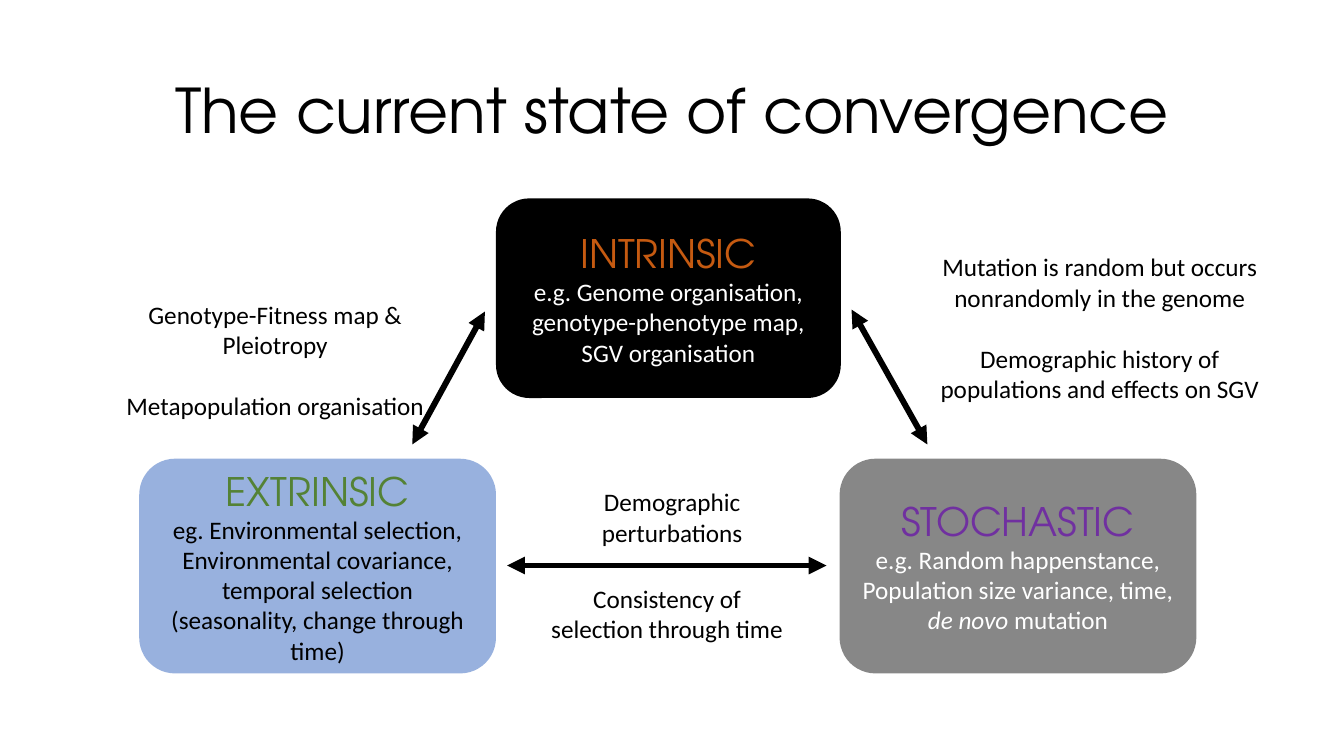
"""Build the slide on the three interacting sources of convergence."""
from dataclasses import dataclass

from lxml import etree
from pptx import Presentation
from pptx.dml.color import RGBColor
from pptx.enum.shapes import MSO_CONNECTOR, MSO_SHAPE
from pptx.enum.text import MSO_ANCHOR, MSO_AUTO_SIZE, PP_ALIGN
from pptx.oxml.ns import qn
from pptx.util import Cm, Pt

CENTER = PP_ALIGN.CENTER
MIDDLE = MSO_ANCHOR.MIDDLE
NO_AUTOFIT = MSO_AUTO_SIZE.NONE
ROUNDED = MSO_SHAPE.ROUNDED_RECTANGLE
STRAIGHT = MSO_CONNECTOR.STRAIGHT
TITLE_ONLY = 5


@dataclass(frozen=True)
class Theme:
    heading_font: str = "TeX Gyre Adventor"
    body_font: str = "Calibri"
    title_size: float = 44
    heading_size: float = 28
    body_size: float = 18
    note_gap: float = 22
    arrow_width: float = 4.25
    black: str = "000000"
    white: str = "FFFFFF"
    blue: str = "4472C4"
    green: str = "548235"
    orange: str = "C55A11"
    purple: str = "7030A0"


THEME = Theme()


@dataclass(frozen=True)
class Area:
    left: float
    top: float
    width: float
    height: float

    def emu(self) -> tuple:
        return Cm(self.left), Cm(self.top), Cm(self.width), Cm(self.height)


@dataclass(frozen=True)
class Phrase:
    text: str
    italic: bool = False


@dataclass(frozen=True)
class Factor:
    heading: str
    heading_color: str
    examples: tuple[tuple[Phrase, ...], ...]
    text_color: str
    area: Area
    fill: str
    opacity: int = 100


@dataclass(frozen=True)
class Interaction:
    start: tuple[float, float]
    end: tuple[float, float]


@dataclass(frozen=True)
class Note:
    area: Area
    points: tuple[str, ...]


TITLE = "The current state of convergence"
TITLE_AREA = Area(2.34, 1.02, 29.21, 3.68)

FACTORS = (
    Factor("EXTRINSIC", THEME.green,
           ((Phrase("eg. Environmental selection,"),),
            (Phrase("Environmental covariance, temporal selection "
                    "(seasonality, change through time)"),)),
           THEME.black, Area(3.51, 11.56, 8.99, 5.41), THEME.blue, 55),
    Factor("INTRINSIC", THEME.orange,
           ((Phrase("e.g. Genome organisation, genotype-phenotype map, "
                    "SGV organisation"),),),
           THEME.white, Area(12.5, 5, 8.69, 5.03), THEME.black),
    Factor("STOCHASTIC", THEME.purple,
           ((Phrase("e.g. Random happenstance,"),),
            (Phrase("Population size variance, time, "),
             Phrase("de novo ", True), Phrase("mutation"))),
           THEME.white, Area(21.16, 11.56, 8.99, 5.41), THEME.black, 47),
)

INTERACTIONS = (
    Interaction((21.46, 7.8), (23.37, 11.2)),
    Interaction((12.78, 14.25), (20.83, 14.25)),
    Interaction((12.22, 7.85), (10.39, 11.2)),
)

NOTES = (
    Note(Area(23.37, 6.22, 8.69, 4.11),
         ("Mutation is random but occurs nonrandomly in the genome",
          "Demographic history of populations and effects on SGV")),
    Note(Area(2.59, 7.42, 8.69, 3.33),
         ("Genotype-Fitness map & Pleiotropy", "Metapopulation organisation")),
    Note(Area(13.56, 14.58, 6.5, 1.8),
         ("Consistency of selection through time",)),
    Note(Area(13.69, 12.14, 6.5, 1.8), ("Demographic perturbations",)),
)


def add_line(frame, phrases: tuple[Phrase, ...], font: str, size: float,
             color: str, first: bool = False):
    """Write one centred paragraph and return it."""
    line = frame.paragraphs[0] if first else frame.add_paragraph()
    line.alignment = CENTER
    for phrase in phrases:
        run = line.add_run()
        run.text = phrase.text
        run.font.name = font
        run.font.size = Pt(size)
        run.font.italic = phrase.italic
        run.font.color.rgb = RGBColor.from_string(color)
    return line


def add_title(slide) -> None:
    """Place and fill the title placeholder."""
    title = slide.shapes.title
    title.left, title.top, title.width, title.height = TITLE_AREA.emu()
    frame = title.text_frame
    frame.auto_size = NO_AUTOFIT
    frame.vertical_anchor = MIDDLE
    line = add_line(frame, (Phrase(TITLE),), THEME.heading_font,
                    THEME.title_size, THEME.black, first=True)
    line.line_spacing = 0.9


def add_factor(slide, factor: Factor) -> None:
    """Draw a rounded box with a heading and its examples."""
    box = slide.shapes.add_shape(ROUNDED, *factor.area.emu())
    box.shadow.inherit = False
    box.line.fill.background()
    box.fill.solid()
    box.fill.fore_color.rgb = RGBColor.from_string(factor.fill)
    if factor.opacity < 100:
        tint = box.fill._xPr.find(qn("a:solidFill"))[0]
        etree.SubElement(tint, qn("a:alpha"), val=str(factor.opacity * 1000))
    frame = box.text_frame
    frame.word_wrap = True
    frame.vertical_anchor = MIDDLE
    add_line(frame, (Phrase(factor.heading),), THEME.heading_font,
             THEME.heading_size, factor.heading_color, first=True)
    for example in factor.examples:
        add_line(frame, example, THEME.body_font, THEME.body_size,
                 factor.text_color)


def add_interaction(slide, interaction: Interaction) -> None:
    """Draw a double-headed arrow between two factors."""
    ends = (Cm(value) for value in interaction.start + interaction.end)
    arrow = slide.shapes.add_connector(STRAIGHT, *ends)
    arrow.line.width = Pt(THEME.arrow_width)
    arrow.line.color.rgb = RGBColor.from_string(THEME.black)
    outline = arrow.line._get_or_add_ln()
    for end in ("a:headEnd", "a:tailEnd"):
        etree.SubElement(outline, qn(end), type="triangle")
    etree.SubElement(arrow._element.spPr, qn("a:effectLst"))


def add_note(slide, note: Note) -> None:
    """Write the points that belong to one interaction."""
    frame = slide.shapes.add_textbox(*note.area.emu()).text_frame
    frame.word_wrap = True
    for index, point in enumerate(note.points):
        line = add_line(frame, (Phrase(point),), THEME.body_font,
                        THEME.body_size, THEME.black, first=index == 0)
        line.space_before = Pt(THEME.note_gap if index else 0)


def main() -> None:
    """Assemble and save the presentation."""
    deck = Presentation()
    deck.slide_width, deck.slide_height = Cm(33.87), Cm(19.05)
    slide = deck.slides.add_slide(deck.slide_layouts[TITLE_ONLY])
    add_title(slide)
    for factor in FACTORS:
        add_factor(slide, factor)
    for interaction in INTERACTIONS:
        add_interaction(slide, interaction)
    for note in NOTES:
        add_note(slide, note)
    deck.save("out.pptx")


if __name__ == "__main__":
    main()
